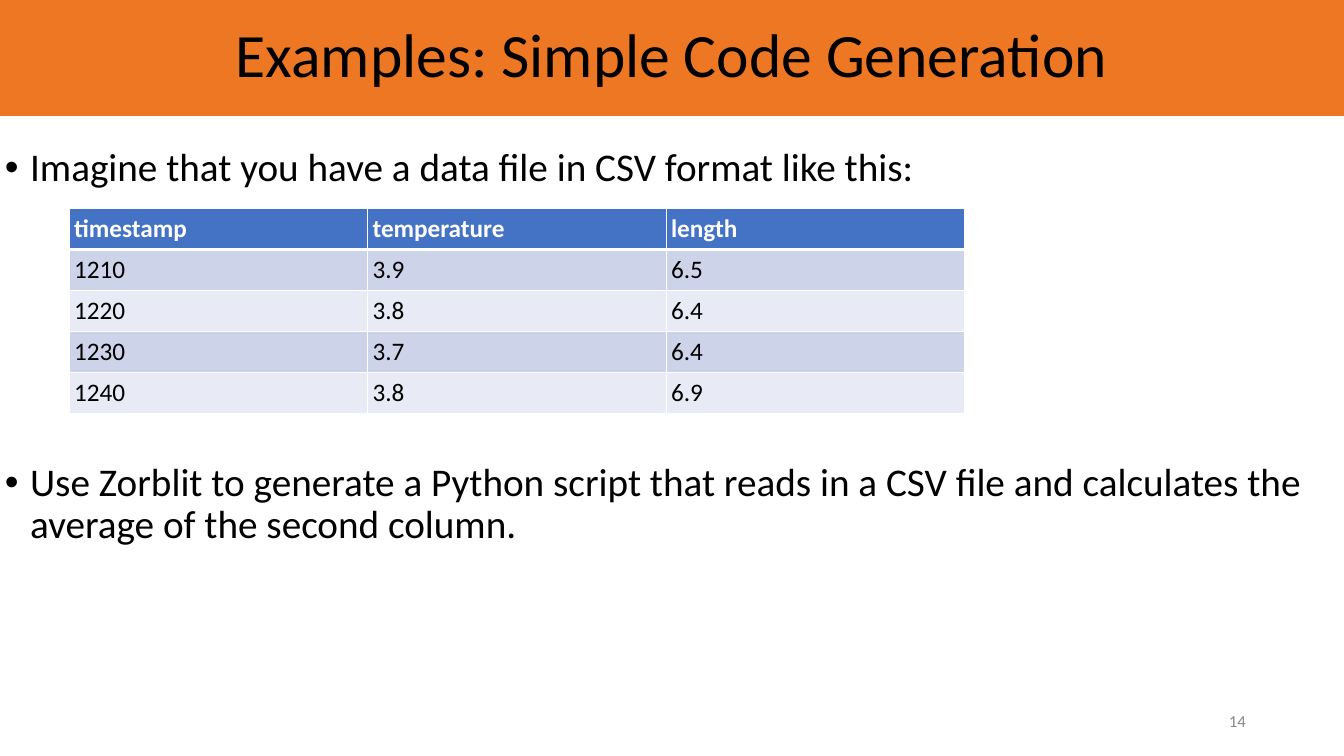
from dataclasses import dataclass

import lxml.etree
import pptx
import pptx.dml.color
import pptx.enum.text
import pptx.oxml.ns
import pptx.util
from pptx.dml.color import RGBColor
from pptx.util import Cm

# Colours
ORANGE = RGBColor(0xEE, 0x77, 0x24)
BLUE = RGBColor(0x44, 0x72, 0xC4)
BAND_DARK = RGBColor(0xCD, 0xD4, 0xEA)
BAND_LIGHT = RGBColor(0xE8, 0xEB, 0xF5)
BLACK = RGBColor(0, 0, 0)
WHITE = RGBColor(0xFF, 0xFF, 0xFF)
GREY = RGBColor(0x88, 0x88, 0x88)

# Measures
FONT = "Calibri"
INSET = Cm(0.12)
SLIDE_WIDTH, SLIDE_HEIGHT = Cm(33.87), Cm(19.05)
COLUMN_WIDTH, ROW_HEIGHT = Cm(7.52), Cm(1.03)

# Content
MEASUREMENTS = [
    ("timestamp", "temperature", "length"),
    ("1210", "3.9", "6.5"),
    ("1220", "3.8", "6.4"),
    ("1230", "3.7", "6.4"),
    ("1240", "3.8", "6.9"),
]


@dataclass
class Bullet:
    text: str
    space_before: float


BULLETS = [
    Bullet("Imagine that you have a data file in CSV format like this:", 10),
    # The wide gap leaves room for the table
    Bullet("Use Zorblit to generate a Python script that reads in a CSV file "
           "and calculates the average of the second column.", 194.5),
]


def place(shape, left: int, top: int, width: int, height: int) -> None:
    shape.left, shape.top, shape.width, shape.height = left, top, width, height


def set_frame(frame, anchor, wrap: bool = True) -> None:
    frame.margin_left = frame.margin_right = INSET
    frame.margin_top = frame.margin_bottom = INSET
    frame.vertical_anchor = anchor
    frame.word_wrap = wrap
    frame.auto_size = pptx.enum.text.MSO_AUTO_SIZE.NONE


def set_font(paragraph, size: int, color: RGBColor, bold: bool = False) -> None:
    font = paragraph.font
    font.name, font.size, font.bold = FONT, pptx.util.Pt(size), bold
    font.color.rgb = color


def add_bullet_mark(paragraph) -> None:
    qn = pptx.oxml.ns.qn
    properties = paragraph._p.get_or_add_pPr()
    properties.set("marL", str(Cm(0.64)))
    properties.set("indent", str(-Cm(0.64)))
    defaults = properties.find(qn("a:defRPr"))
    for element in (lxml.etree.Element(qn("a:buFont"), typeface="Arial"),
                    lxml.etree.Element(qn("a:buChar"), char="•")):
        if defaults is None:
            properties.append(element)
        else:
            defaults.addprevious(element)


def add_border(cell, side: str, width: float) -> None:
    qn = pptx.oxml.ns.qn
    line = lxml.etree.SubElement(
        cell._tc.get_or_add_tcPr(), qn(f"a:ln{side}"), w=str(pptx.util.Pt(width)))
    fill = lxml.etree.SubElement(line, qn("a:solidFill"))
    lxml.etree.SubElement(fill, qn("a:srgbClr"), val=str(WHITE))


def fill_cell(cell, text: str, row: int) -> None:
    header = row == 0
    widths = {"L": 1, "R": 1, "T": 3 if row == 1 else 1, "B": 3 if header else 1}
    for side, width in widths.items():
        add_border(cell, side, width)
    cell.fill.solid()
    cell.fill.fore_color.rgb = (
        BLUE if header else BAND_DARK if row % 2 else BAND_LIGHT)
    cell.margin_left = cell.margin_right = INSET
    cell.margin_top = cell.margin_bottom = INSET
    cell.text = text
    set_font(cell.text_frame.paragraphs[0], 18, WHITE if header else BLACK, header)


# Title band
def add_title(slide) -> None:
    title = slide.shapes.title
    place(title, 0, 0, SLIDE_WIDTH, Cm(2.92))
    title.fill.solid()
    title.fill.fore_color.rgb = ORANGE
    title.text_frame.text = "Examples: Simple Code Generation"
    set_frame(title.text_frame, pptx.enum.text.MSO_ANCHOR.MIDDLE)
    paragraph = title.text_frame.paragraphs[0]
    paragraph.alignment = pptx.enum.text.PP_ALIGN.CENTER
    paragraph.line_spacing = 0.9
    set_font(paragraph, 44, BLACK)


# Bullet list above and below the table
def add_bullets(slide) -> None:
    body = slide.placeholders[1]
    place(body, 0, Cm(3.61), SLIDE_WIDTH, Cm(13.61))
    frame = body.text_frame
    frame.text = "\n".join(bullet.text for bullet in BULLETS)
    set_frame(frame, pptx.enum.text.MSO_ANCHOR.TOP)
    for paragraph, bullet in zip(frame.paragraphs, BULLETS):
        paragraph.line_spacing = 0.9
        paragraph.space_before = pptx.util.Pt(bullet.space_before)
        set_font(paragraph, 28, BLACK)
        add_bullet_mark(paragraph)


# Page number
def add_page_number(slide) -> None:
    box = slide.shapes.add_textbox(Cm(30.81), Cm(17.83), Cm(0.71), Cm(0.69))
    box.text_frame.text = "14"
    set_frame(box.text_frame, pptx.enum.text.MSO_ANCHOR.MIDDLE, wrap=False)
    paragraph = box.text_frame.paragraphs[0]
    paragraph.alignment = pptx.enum.text.PP_ALIGN.RIGHT
    set_font(paragraph, 12, GREY)


# Data table
def add_measurements(slide) -> None:
    rows, columns = len(MEASUREMENTS), len(MEASUREMENTS[0])
    table = slide.shapes.add_table(
        rows, columns, Cm(1.75), Cm(5.26),
        COLUMN_WIDTH * columns, ROW_HEIGHT * rows).table
    for row, values in enumerate(MEASUREMENTS):
        for column, text in enumerate(values):
            fill_cell(table.cell(row, column), text, row)


def main() -> None:
    presentation = pptx.Presentation()
    presentation.slide_width = SLIDE_WIDTH
    presentation.slide_height = SLIDE_HEIGHT
    slide = presentation.slides.add_slide(presentation.slide_layouts[1])
    add_title(slide)
    add_bullets(slide)
    add_page_number(slide)
    add_measurements(slide)
    presentation.save("out.pptx")


if __name__ == "__main__":
    main()
